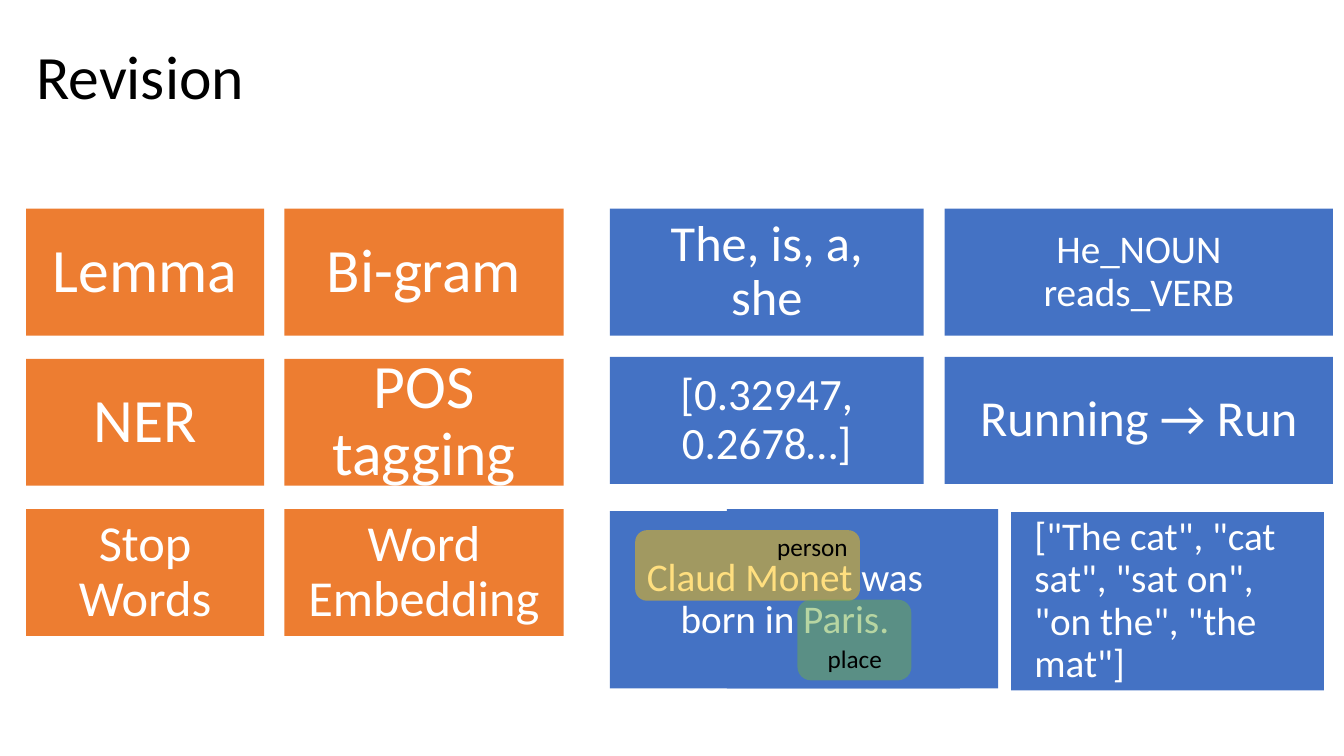
"""Build the revision slide that matches language terms with examples."""
import lxml.etree
import pptx
import pptx.dml.color
import pptx.enum.shapes
import pptx.enum.text
import pptx.oxml.ns
import pptx.util

RGB = pptx.dml.color.RGBColor
ORANGE = RGB(0xED, 0x7D, 0x31)
BLUE = RGB(0x44, 0x72, 0xC4)
GOLD = RGB(0xFF, 0xC0, 0x00)
GREEN = RGB(0x70, 0xAD, 0x47)
WHITE = RGB(0xFF, 0xFF, 0xFF)
BLACK = RGB(0, 0, 0)

KIND = pptx.enum.shapes.MSO_SHAPE
LEFT = pptx.enum.text.PP_ALIGN.LEFT
MID = pptx.enum.text.PP_ALIGN.CENTER
CENTRE = pptx.enum.text.MSO_ANCHOR.MIDDLE
Inch = pptx.util.Inches

TOP, STEP, HIGH = 2.07, 1.49, 1.26
TERM_COLS = [(0.26, 2.36), (2.82, 2.77)]
TERMS = [
    [("Lemma", 44), ("Bi-gram", 44)],
    [("NER", 44), ("POS tagging", 44)],
    [("Stop Words", 36), ("Word Embedding", 36)],
]
CASE_COLS = [(6.05, 3.11), (9.37, 3.85)]
CASE_STEP = 1.47
CASES = [
    [("The, is, a, she", 36), ("He_NOUN reads_VERB", 28)],
    [("[0.32947, 0.2678…]", 32), ("Running → Run", 36)],
]


def write(frame, words, size, color, align=LEFT, pad=None, space=None):
    """Put one styled run into a text frame."""
    frame.word_wrap = True
    if pad is not None:
        frame.margin_left = frame.margin_right = Inch(pad)
        frame.margin_top = frame.margin_bottom = Inch(pad)
    para = frame.paragraphs[0]
    para.alignment = align
    para.line_spacing = space
    run = para.add_run()
    run.text = words
    run.font.name = "Calibri"
    run.font.size = pptx.util.Pt(size)
    run.font.color.rgb = color


def block(slide, box, fill, kind=KIND.RECTANGLE):
    """Add a plain filled shape."""
    shape = slide.shapes.add_shape(kind, *map(Inch, box))
    shape.shadow.inherit = False
    shape.fill.solid()
    shape.fill.fore_color.rgb = fill
    shape.line.fill.background()
    return shape


def card(slide, box, fill, words, size, align=MID):
    """Add a coloured card with white text."""
    frame = block(slide, box, fill).text_frame
    frame.vertical_anchor = CENTRE
    write(frame, words, size, WHITE, align, 0.23, 0.9)


def grid(slide, cells, cols, step, fill):
    """Lay out rows of cards on shared columns."""
    for row, line in enumerate(cells):
        for (left, wide), (words, size) in zip(cols, line):
            box = (left, TOP + row * step, wide, HIGH)
            card(slide, box, fill, words, size)


def mark(slide, box, fill):
    """Add a half-clear rounded highlight."""
    shape = block(slide, box, fill, KIND.ROUNDED_RECTANGLE)
    qn = pptx.oxml.ns.qn
    tint = shape.element.spPr.find(".//" + qn("a:srgbClr"))
    lxml.etree.SubElement(tint, qn("a:alpha"), val="50000")


def label(slide, left, top, words):
    """Add a small black entity label."""
    area = slide.shapes.add_textbox(*map(Inch, (left, top, 1.1, 0.4)))
    write(area.text_frame, words, 18, BLACK)


def head(slide, words):
    """Place and fill the title."""
    title = slide.shapes.title
    title.left, title.top = Inch(0.26), Inch(-0.06)
    title.width, title.height = Inch(11.67), Inch(1.7)
    title.text_frame.vertical_anchor = CENTRE
    write(title.text_frame, words, 44, BLACK, space=0.9)


def main():
    """Build and save the slide."""
    deck = pptx.Presentation()
    deck.slide_width, deck.slide_height = Inch(13.33), Inch(7.5)
    slide = deck.slides.add_slide(deck.slide_layouts[5])
    head(slide, "Revision")
    grid(slide, TERMS, TERM_COLS, STEP, ORANGE)
    grid(slide, CASES, CASE_COLS, CASE_STEP, BLUE)
    block(slide, (7.21, 5.05, 2.69, 1.78), BLUE)
    card(slide, (6.05, 5.07, 3.47, 1.76), BLUE,
         "Claud Monet was born in Paris.", 28)
    mark(slide, (6.3, 5.26, 2.23, 0.7), GOLD)
    mark(slide, (7.91, 5.95, 1.13, 0.8), GREEN)
    label(slide, 7.61, 5.22, "person")
    label(slide, 8.11, 6.33, "place")
    card(slide, (10.03, 5.08, 3.1, 1.77), BLUE,
         '["The cat", "cat sat", "sat on", "on the", "the mat"]', 28, LEFT)
    deck.save("out.pptx")


if __name__ == "__main__":
    main()
